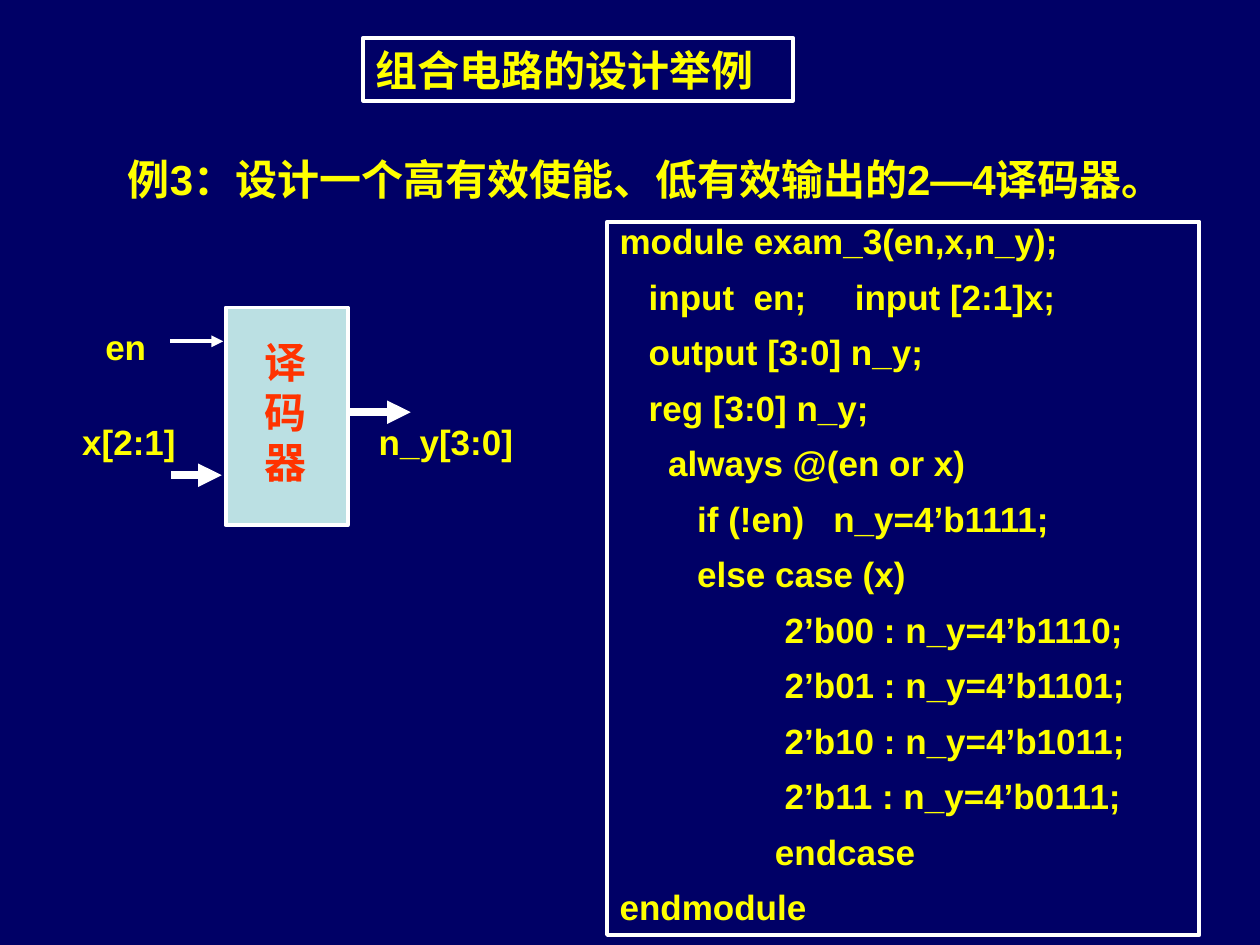
from lxml import etree
from pptx import Presentation
from pptx.dml.color import RGBColor
from pptx.enum import shapes, text
from pptx.oxml.ns import qn
from pptx.util import Cm, Pt

NAVY, WHITE, YELLOW = "000066", "FFFFFF", "FFFF00"
PALE, RED = "BBE0E3", "FF3300"
LEFT, CENTER = text.PP_ALIGN.LEFT, text.PP_ALIGN.CENTER

TITLE = ("组合电路的设计举例", (7.32, 0.76, 8.66, 1.27))
DECODER = (4.55, 6.2, 2.46, 4.39)
TEXTS = [
    ("例3：设计一个高有效使能、低有效输出的2—4译码器。", (1.73, 2.97, 22.58, 1.27), 24, YELLOW),
    ("en", (1.57, 6.43, 1.93, 1.12), 20, YELLOW),
    ("x[2:1]", (1.19, 8.36, 2.82, 1.12), 20, YELLOW),
    ("n_y[3:0]", (7.01, 8.36, 3.96, 1.12), 20, YELLOW),
    ("译码器", (5.08, 6.65, 1.3, 3.3), 24, RED),
]
ARROWS = [
    (3.43, 4.5, 6.88, 2.25),
    (3.45, 4.47, 9.58, 4.5),
    (7.01, 8.28, 8.31, 4.5),
]
CODE_AREA = (12.24, 4.47, 11.94, 14.38)
CODE = """module exam_3(en,x,n_y);
   input  en;     input [2:1]x;
   output [3:0] n_y;
   reg [3:0] n_y;
     always @(en or x)
        if (!en)   n_y=4’b1111;
        else case (x)
                 2’b00 : n_y=4’b1110;
                 2’b01 : n_y=4’b1101;
                 2’b10 : n_y=4’b1011;
                 2’b11 : n_y=4’b0111;
                endcase
endmodule""".splitlines()


def color(value):
    return RGBColor.from_string(value)


def outline(shape, width=2.25):
    shape.line.color.rgb = color(WHITE)
    shape.line.width = Pt(width)


def place(shape, area):
    shape.left, shape.top, shape.width, shape.height = map(Cm, area)


def write(shape, lines, size, ink=YELLOW, align=LEFT, spacing=1.0, gap=0):
    frame = shape.text_frame
    frame.word_wrap = True
    frame.auto_size = text.MSO_AUTO_SIZE.NONE
    frame.vertical_anchor = text.MSO_ANCHOR.TOP
    for number, line in enumerate(lines):
        para = frame.add_paragraph() if number else frame.paragraphs[0]
        para.text = line
        para.alignment = align
        para.line_spacing = spacing
        para.space_before = Pt(gap if number else 0)
        para.font.name = "Arial"
        para.font.size = Pt(size)
        para.font.bold = True
        para.font.color.rgb = color(ink)


def add_box(page, area, fill=None):
    box = page.shapes.add_shape(shapes.MSO_SHAPE.RECTANGLE, *map(Cm, area))
    box.shadow.inherit = False
    if fill:
        box.fill.solid()
        box.fill.fore_color.rgb = color(fill)
    else:
        box.fill.background()
    outline(box)
    return box


def add_arrow(page, start, end, level, width):
    arrow = page.shapes.add_connector(
        shapes.MSO_CONNECTOR.STRAIGHT, Cm(start), Cm(level), Cm(end), Cm(level))
    outline(arrow, width)
    etree.SubElement(arrow.line._get_or_add_ln(), qn("a:tailEnd"), type="triangle")
    etree.SubElement(arrow._element.spPr, qn("a:effectLst"))


def main():
    deck = Presentation()
    deck.slide_width, deck.slide_height = Cm(25.4), Cm(19.05)
    page = deck.slides.add_slide(deck.slide_layouts[5])
    page.background.fill.solid()
    page.background.fill.fore_color.rgb = color(NAVY)

    heading, area = TITLE
    title = page.shapes.title
    place(title, area)
    outline(title)
    write(title, [heading], 24)

    add_box(page, DECODER, PALE)
    for arrow in ARROWS:
        add_arrow(page, *arrow)
    for words, area, size, ink in TEXTS:
        write(page.shapes.add_textbox(*map(Cm, area)), [words], size, ink, CENTER)
    write(add_box(page, CODE_AREA), CODE, 20, spacing=0.8, gap=12.5)

    deck.save("out.pptx")


if __name__ == "__main__":
    main()
